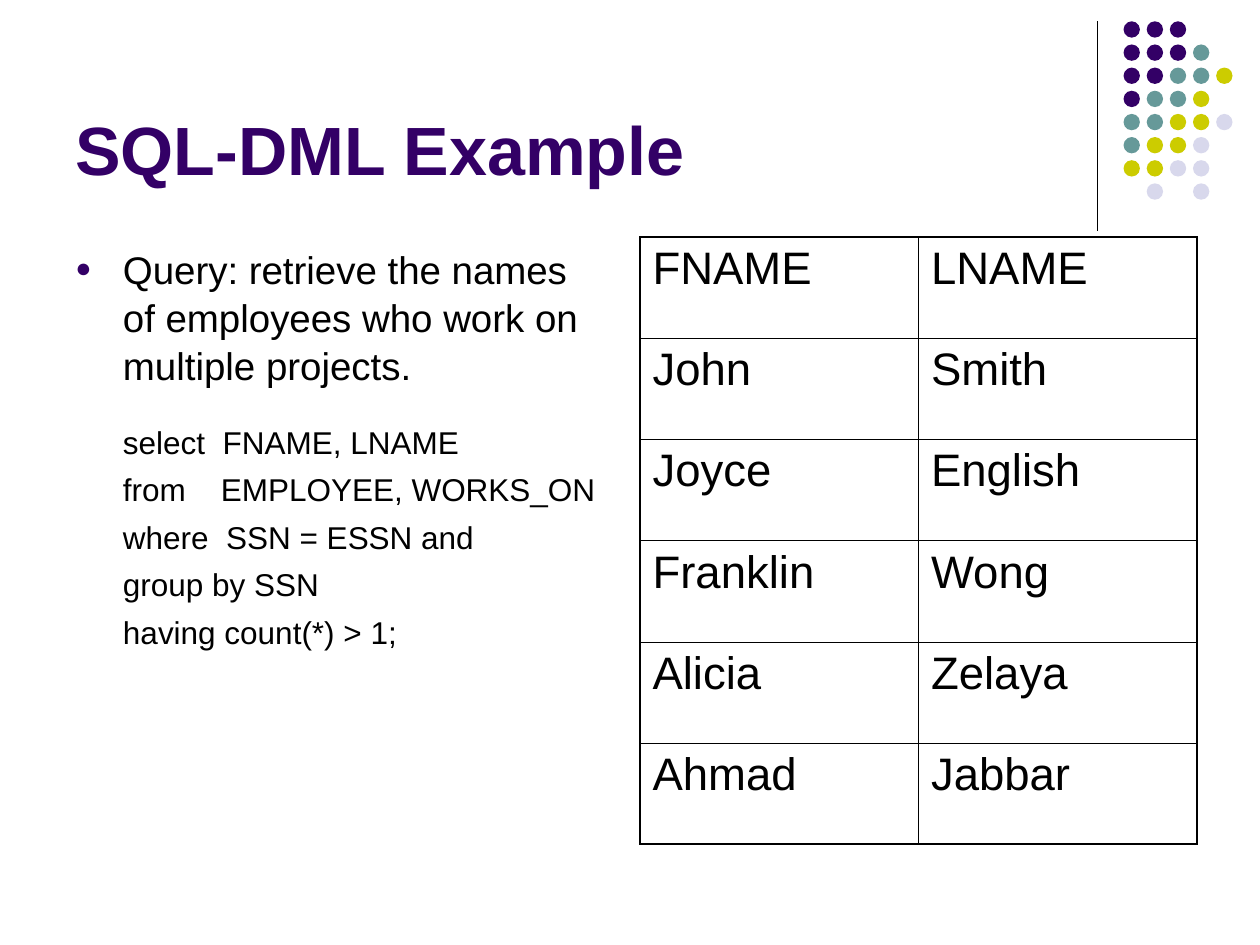
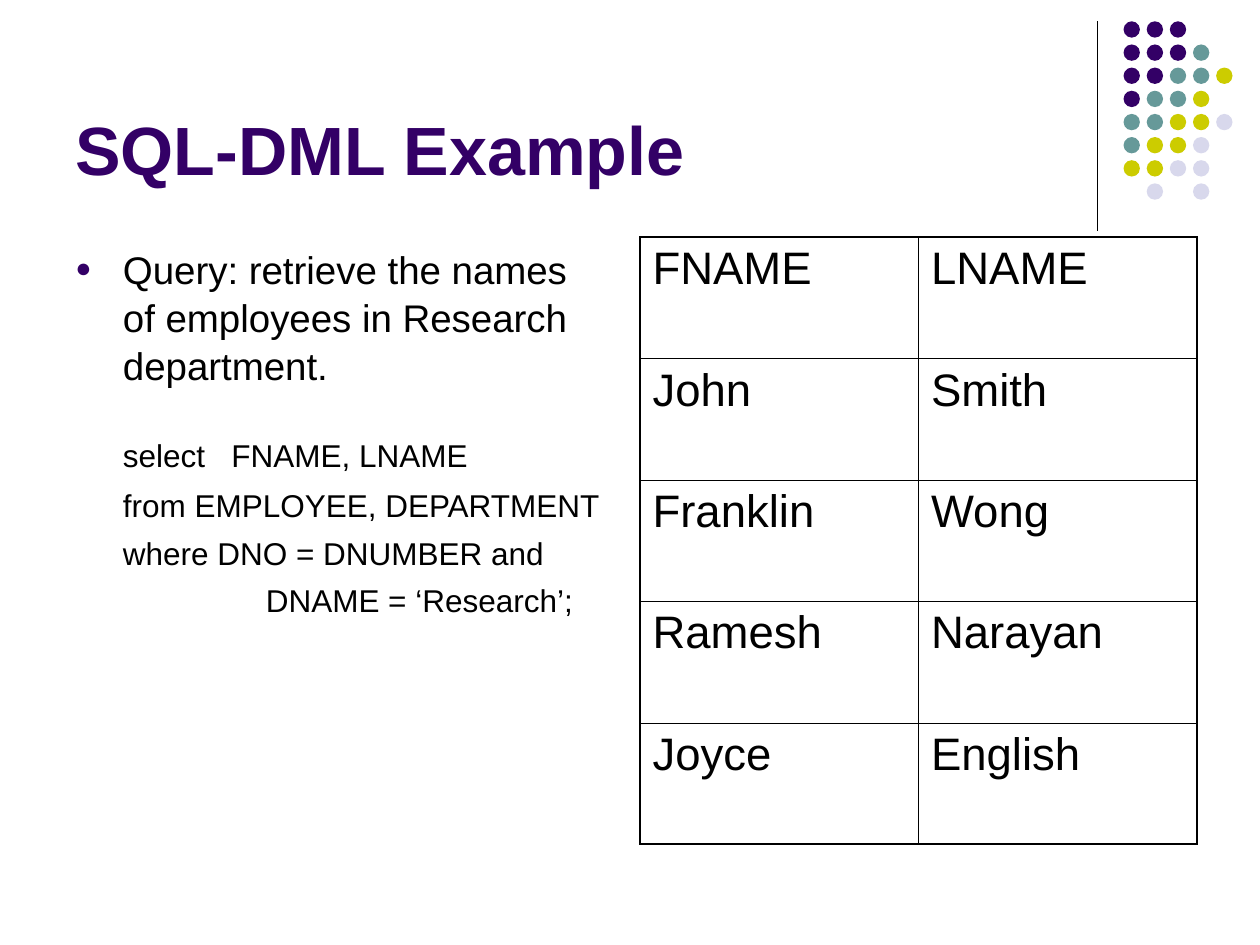
from dataclasses import dataclass

from lxml import etree
from pptx import Presentation
from pptx.dml.color import RGBColor
from pptx.enum.shapes import MSO_CONNECTOR, MSO_SHAPE
from pptx.enum.text import MSO_ANCHOR
from pptx.oxml.ns import qn
from pptx.util import Cm, Pt

OVAL = MSO_SHAPE.OVAL
STRAIGHT = MSO_CONNECTOR.STRAIGHT
TOP = MSO_ANCHOR.TOP
BOTTOM = MSO_ANCHOR.BOTTOM


@dataclass(frozen=True)
class Theme:
    """Colours, font and type sizes of the deck."""
    font: str = "Arial"
    ink: str = "000000"
    plum: str = "330066"
    teal: str = "669999"
    lime: str = "CCCC00"
    mist: str = "D8D8EC"
    title: float = 39
    query: float = 22
    code: float = 18
    cell: float = 26
    thin: float = 0.45
    thick: float = 1.08


DOTS = ("ppp", "pppt", "ppttl", "pttl", "ttllm", "tllm", "llmm", " m m")
QUERY = {"space_after": Pt(13.8), "line_spacing": 1.05}
CODE = {"space_before": Pt(4.5), "line_spacing": 1.05}
AFTER_GAP = {"space_before": Pt(12), "space_after": Pt(1.7)}
INDENT = 0.96
DEEP = 3.84


def put(item, values):
    """Set each named value on the item."""
    for name, value in values.items():
        setattr(item, name, value)


def child(parent, tag, **values):
    """Append a drawing element and return it."""
    return etree.SubElement(parent, qn(tag), values)


class Deck:
    """Holds the theme and the current slide, and draws each element."""

    def __init__(self, theme):
        """Start an empty deck."""
        self.theme = theme
        self.file = Presentation()
        put(self.file, {"slide_width": Cm(25.4), "slide_height": Cm(19.05)})

    def page(self, title):
        """Add a slide with the rule, the dots and a title."""
        self.slide = self.file.slides.add_slide(self.file.slide_layouts[6])
        self.rule(22.12, 0.43, 4.65)
        self.dots(22.65, 0.43, 0.33, 1.4 / 3)
        frame = self.box(1.27, 0.33, 20.96, 3.61, BOTTOM)
        look = self.theme
        self.text(frame.paragraphs[0], title, look.title, look.plum, True)

    def rule(self, left, top, bottom):
        """Draw the upright line beside the dots."""
        line = self.slide.shapes.add_connector(
            STRAIGHT, Cm(left), Cm(top), Cm(left), Cm(bottom))
        line.line.width = Pt(0.75)
        line.line.color.rgb = RGBColor.from_string(self.theme.ink)
        child(line._element.spPr, "a:effectLst")

    def dots(self, left, top, size, step):
        """Draw the corner grid of dots."""
        look = self.theme
        shades = {"p": look.plum, "t": look.teal, "l": look.lime, "m": look.mist}
        for row, marks in enumerate(DOTS):
            for col, mark in enumerate(marks):
                if mark in shades:
                    dot = self.slide.shapes.add_shape(
                        OVAL, Cm(left + col * step), Cm(top + row * step),
                        Cm(size), Cm(size))
                    dot.shadow.inherit = False
                    dot.fill.solid()
                    dot.fill.fore_color.rgb = RGBColor.from_string(shades[mark])
                    dot.line.fill.background()

    def box(self, left, top, width, height, anchor):
        """Add a wrapped text box and return its frame."""
        frame = self.slide.shapes.add_textbox(
            Cm(left), Cm(top), Cm(width), Cm(height)).text_frame
        put(frame, {"word_wrap": True, "vertical_anchor": anchor})
        return frame

    def text(self, para, words, size, shade, bold=False):
        """Put one styled run in a paragraph."""
        run = para.add_run()
        run.text = words
        put(run.font, {"name": self.theme.font, "size": Pt(size), "bold": bold})
        run.font.color.rgb = RGBColor.from_string(shade)

    def bullet(self, para):
        """Give a paragraph a hanging round bullet."""
        props = para._p.get_or_add_pPr()
        props.set("marL", str(Cm(INDENT)))
        props.set("indent", str(-Cm(INDENT)))
        tint = child(props, "a:buClr")
        child(tint, "a:srgbClr", val=self.theme.plum)
        child(props, "a:buSzPct", val="70000")
        child(props, "a:buFont", typeface=self.theme.font)
        child(props, "a:buChar", char="●")

    def query(self, ask, code):
        """Add the question and its code lines."""
        look = self.theme
        frame = self.box(1.27, 4.78, 11.23, 12.24, TOP)
        para = frame.paragraphs[0]
        self.bullet(para)
        put(para, QUERY)
        self.text(para, ask, look.query, look.ink)
        for words, indent, extra in code:
            para = frame.add_paragraph()
            para._p.get_or_add_pPr().set("marL", str(Cm(indent)))
            put(para, {**CODE, **extra})
            self.text(para, words, look.code, look.ink)

    def edge(self, cell, side, width):
        """Draw one border of a cell."""
        props = cell._tc.get_or_add_tcPr()
        line = child(props, f"a:ln{side}", w=str(Pt(width)))
        fill = child(line, "a:solidFill")
        child(fill, "a:srgbClr", val=self.theme.ink)

    def table(self, rows):
        """Draw the result table with a thick frame."""
        look = self.theme
        last, end = len(rows) - 1, len(rows[0]) - 1
        grid = self.slide.shapes.add_table(
            len(rows), len(rows[0]), Cm(12.9), Cm(4.78), Cm(11.23), Cm(12.24)).table
        put(grid, {"first_row": False, "horz_banding": False})
        for r, names in enumerate(rows):
            for c, name in enumerate(names):
                cell = grid.cell(r, c)
                outer = {"L": c == 0, "R": c == end, "T": r == 0, "B": r == last}
                for side, thick in outer.items():
                    self.edge(cell, side, look.thick if thick else look.thin)
                cell.fill.background()
                self.text(cell.text_frame.paragraphs[0], name, look.cell, look.ink)


PAGES = (
    (
        "Query: retrieve the names of employees who work on multiple projects.",
        (
            ("select  FNAME, LNAME", INDENT, {}),
            ("from    EMPLOYEE, WORKS_ON", INDENT, {}),
            ("where  SSN = ESSN and", INDENT, {}),
            ("group by SSN", INDENT, {}),
            ("having count(*) > 1;", INDENT, {}),
        ),
        (
            ("FNAME", "LNAME"),
            ("John", "Smith"),
            ("Joyce", "English"),
            ("Franklin", "Wong"),
            ("Alicia", "Zelaya"),
            ("Ahmad", "Jabbar"),
        ),
    ),
    (
        "Query: retrieve the names of employees in Research department.",
        (
            ("select   FNAME, LNAME", INDENT, AFTER_GAP),
            ("from EMPLOYEE, DEPARTMENT", INDENT, {}),
            ("where DNO = DNUMBER and", INDENT, {}),
            ("DNAME = ‘Research’;", DEEP, {}),
        ),
        (
            ("FNAME", "LNAME"),
            ("John", "Smith"),
            ("Franklin", "Wong"),
            ("Ramesh", "Narayan"),
            ("Joyce", "English"),
        ),
    ),
)


def main():
    """Build both slides and save the deck."""
    deck = Deck(Theme())
    for ask, code, rows in PAGES:
        deck.page("SQL-DML Example")
        deck.query(ask, code)
        deck.table(rows)
    deck.file.save("out.pptx")


if __name__ == "__main__":
    main()
